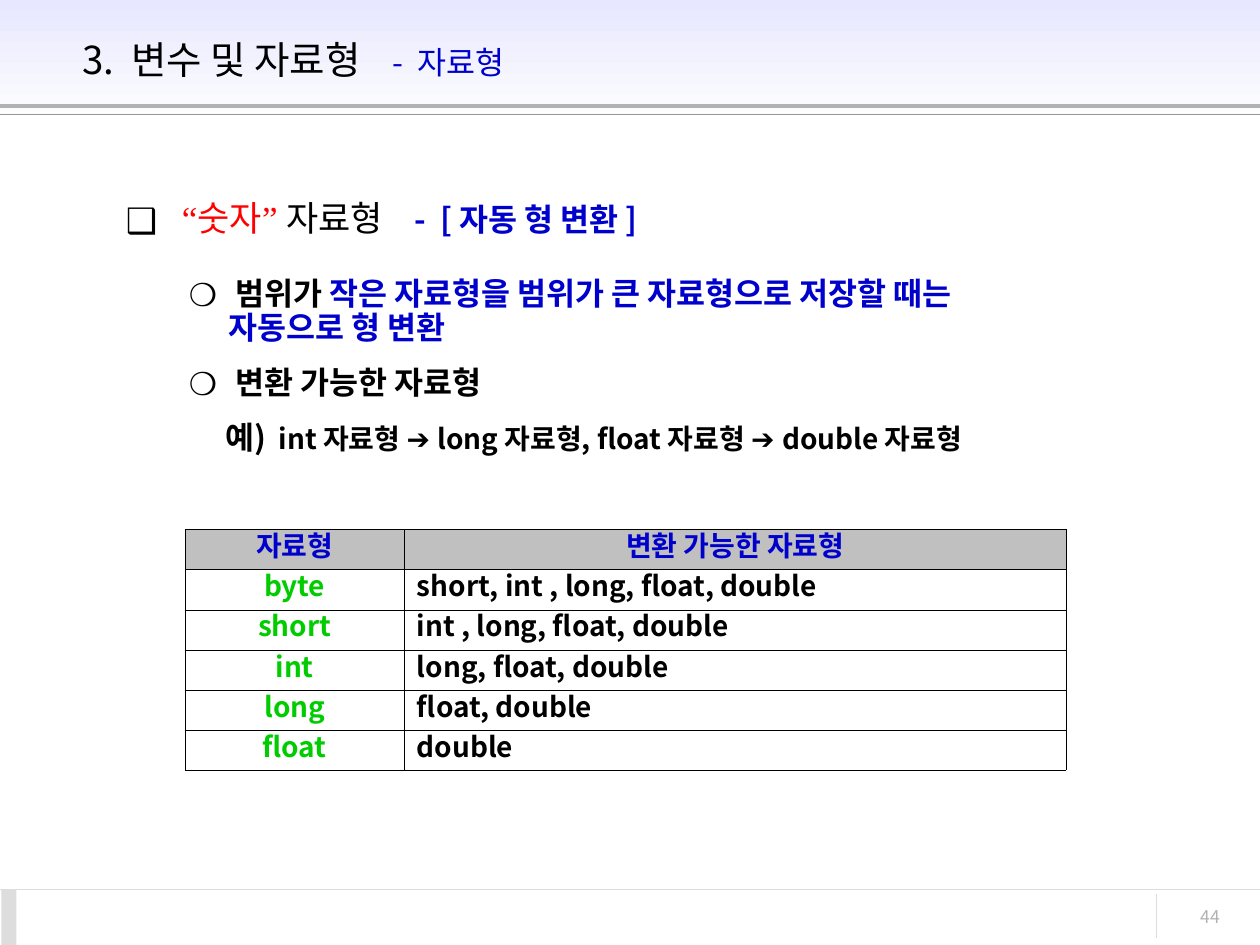
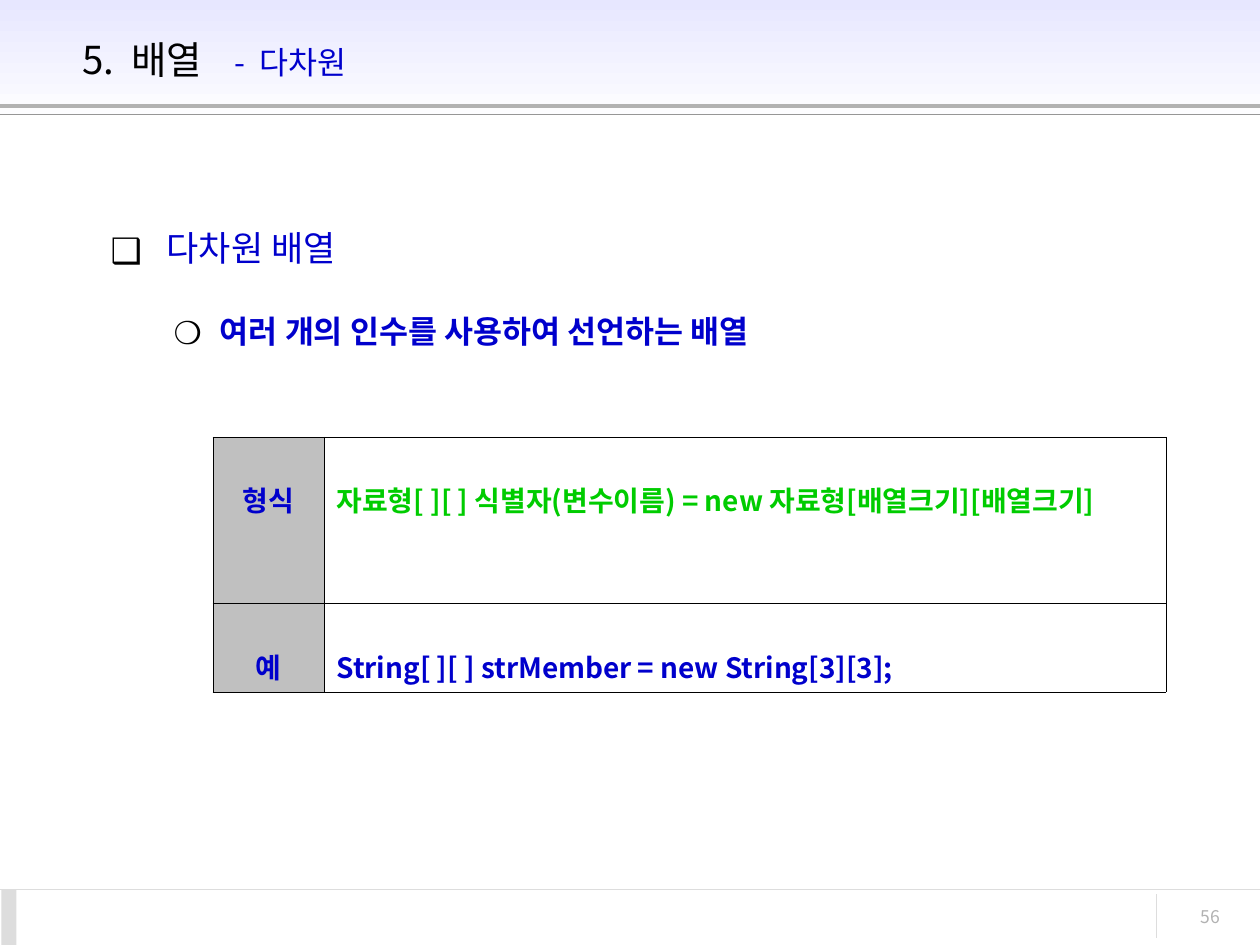
import pptx
import pptx.dml.color
import pptx.enum.shapes
import pptx.enum.text
import pptx.oxml
import pptx.oxml.ns
import pptx.util

Cm, Pt = pptx.util.Cm, pptx.util.Pt
ALIGN = pptx.enum.text.PP_ALIGN
ANCHOR = pptx.enum.text.MSO_ANCHOR
SHAPE = pptx.enum.shapes.MSO_SHAPE

SANS = "Noto Sans CJK KR"
BLACK, BLUE, RED, GREEN = "000000", "0000CC", "FF0000", "00CC00"
SILVER, PALE, ASH = "C0C0C0", "DDDDDD", "B2B2B2"


def style(size, hue=BLACK, bold=False, name=SANS, wide=0):
    """Format of a run; wide is the extra space in points after each letter."""
    return {"size": Pt(size), "bold": bold, "name": name, "hue": hue, "wide": wide}


HEAD, BOLD, CODE = style(20), style(18, bold=True), style(16, bold=True)
BLUE_BOLD = style(18, BLUE, True)
QUOTE = style(20, RED, name="Times New Roman")
ARROW = style(16, bold=True, name="Arial")

# Paragraph kinds: bullet, left margin and indent in cm, paragraph format
TOP = ("❑", 0.97, -0.97)
SUB = ("❍", 2.06, -0.79)
PLAIN = (None, 2, 0)
TIGHT = {"line_spacing": 0.9, "space_before": Pt(4), "space_after": Pt(8)}

SLIDES = [
    {
        "page": "44",
        "title": ("3.", "변수 및 자료형", "자료형"),
        "box": (2.29, 3.94, 19, 6),
        "text": [
            (TOP, {"line_spacing": 0.9, "space_after": Pt(18)}, [
                (" ", HEAD), ("“", QUOTE), ("숫자", style(20, RED)), ("” ", QUOTE),
                ("자료형", HEAD), (" ", style(20, wide=13.4)),
                ("-", BLUE_BOLD), (" ", style(18, BLUE, True, wide=4)),
                ("[ 자동 형 변환 ]", BLUE_BOLD)]),
            (SUB, TIGHT, [
                (" 범위가 ", BOLD),
                ("작은 자료형을 범위가 큰 자료형으로 저장할 때는 자동으로 형 변환", BLUE_BOLD)]),
            (SUB, TIGHT, [(" 변환 가능한 자료형", BOLD)]),
            (PLAIN, TIGHT, [
                ("예)", BOLD), (" ", style(16, bold=True, wide=3.6)),
                ("int 자료형 ", CODE), ("➔ ", ARROW),
                ("long 자료형, float 자료형 ", CODE), ("➔ ", ARROW),
                ("double 자료형", CODE)]),
        ],
        "table": {
            "at": (3.73, 10.67), "cols": (4.42, 13.34), "rows": [0.81] * 6,
            "space": 0.6, "anchor": ANCHOR.MIDDLE,
            "cells": [
                ("자료형", "변환 가능한 자료형"),
                ("byte", "short, int , long, float, double"),
                ("short", "int , long, float, double"),
                ("int", "long, float, double"),
                ("long", "float, double"),
                ("float", "double"),
            ],
            "hues": [(BLUE, BLUE)] + [(GREEN, BLACK)] * 5,
            "head": lambda row, col: row == 0,
        },
    },
    {
        "page": "56",
        "title": ("5.", "배열", "다차원"),
        "box": (1.98, 4.45, 22.02, 12.57),
        "text": [
            (TOP, {"space_after": Pt(20)}, [(" 다차원 배열", style(20, BLUE))]),
            (SUB, {"space_before": Pt(4.5)}, [
                (" ", BOLD), ("여러 개의 인수를 사용하여 선언하는 배열", BLUE_BOLD)]),
        ],
        "table": {
            "at": (4.29, 8.81), "cols": (2.24, 16.97), "rows": [3.35, 1.79],
            "space": 1.9, "anchor": ANCHOR.TOP,
            "cells": [
                ("형식", "자료형[ ][ ] 식별자(변수이름) = new 자료형[배열크기][배열크기]"),
                ("예", "String[ ][ ] strMember = new String[3][3];"),
            ],
            "hues": [(BLUE, GREEN), (BLUE, BLUE)],
            "head": lambda row, col: col == 0,
        },
    },
]

# x1, y1, x2, y2, colour, width
RULES = [
    (0, 2.13, 25.4, 2.13, ASH, 2.25),
    (0, 2.31, 25.4, 2.31, "969696", 0.75),
    (0, 17.93, 25.4, 17.93, PALE, 0.75),
    (23.32, 18.03, 23.32, 18.9, PALE, 0.75),
]


def rgb(text):
    return pptx.dml.color.RGBColor.from_string(text)


def put(thing, values):
    for key, val in values.items():
        setattr(thing, key, val)


def node(tag, parent=None, **attrs):
    made = pptx.oxml.parse_xml(f"<a:{tag} {pptx.oxml.ns.nsdecls('a')}/>")
    for key, val in attrs.items():
        made.set(key, str(val))
    if parent is not None:
        parent.append(made)
    return made


def add_run(para, text, look):
    run = para.add_run()
    run.text = text
    put(run.font, {key: look[key] for key in ("size", "bold", "name")})
    run.font.color.rgb = rgb(look["hue"])
    props = run.font._element
    latin = props.find(pptx.oxml.ns.qn("a:latin"))
    latin.addnext(node("ea", typeface=look["name"]))
    if look["wide"]:
        props.set("spc", str(round(look["wide"] * 100)))


def set_bullet(para, mark, left, indent):
    props = para._p.get_or_add_pPr()
    props.set("marL", str(Cm(left)))
    props.set("indent", str(Cm(indent)))
    if mark:
        node("srgbClr", node("buClr", props), val=BLACK)
        node("buFont", props, typeface=SANS)
        node("buChar", props, char=mark)
    else:
        node("buNone", props)


def add_box(slide, place):
    frame = slide.shapes.add_textbox(*map(Cm, place)).text_frame
    frame.word_wrap = True
    return frame


def add_block(slide, place):
    block = slide.shapes.add_shape(SHAPE.RECTANGLE, *map(Cm, place))
    block.shadow.inherit = False
    block.line.fill.background()
    return block


def add_frame(slide, page):
    """Draw the top band, the rules and the footer."""
    fill = add_block(slide, (0, 0, 25.4, 2.54)).fill
    fill.gradient()
    fill.gradient_angle = 270
    for stop, spot, hue in zip(fill.gradient_stops, (0, 1), ("E7E7FF", "FFFFFF")):
        stop.position = spot
        stop.color.rgb = rgb(hue)
    for *ends, hue, width in RULES:
        rule = slide.shapes.add_connector(
            pptx.enum.shapes.MSO_CONNECTOR.STRAIGHT, *map(Cm, ends))
        rule.line.color.rgb = rgb(hue)
        rule.line.width = Pt(width)
        node("effectLst", rule._element.spPr)
    fill = add_block(slide, (0.03, 17.93, 0.3, 1.12)).fill
    fill.solid()
    fill.fore_color.rgb = rgb(PALE)
    para = add_box(slide, (22.5, 18.14, 2.34, 0.84)).paragraphs[0]
    para.alignment = ALIGN.RIGHT
    add_run(para, page, style(10, ASH))


def set_title(slide, number, topic, part):
    title = slide.shapes.title
    title._element.getparent().append(title._element)
    put(title, dict(zip(("left", "top", "width", "height"),
                        map(Cm, (1.4, 0.33, 21.92, 1.73)))))
    put(title.text_frame, {"word_wrap": True, "vertical_anchor": ANCHOR.MIDDLE,
                           "auto_size": pptx.enum.text.MSO_AUTO_SIZE.NONE})
    para = title.text_frame.paragraphs[0]
    para.alignment = ALIGN.LEFT
    for text, look in [
            (number, style(22)), (" ", style(22, wide=5)),
            (topic, style(22)), (" ", style(22, wide=13.5)),
            ("-", style(18, BLUE)), (" ", style(18, BLUE, wide=4)),
            (part, style(18, BLUE))]:
        add_run(para, text, look)


def add_text(slide, place, paras):
    frame = add_box(slide, place)
    for i, (kind, form, runs) in enumerate(paras):
        para = frame.add_paragraph() if i else frame.paragraphs[0]
        set_bullet(para, *kind)
        put(para, form)
        for text, look in runs:
            add_run(para, text, look)


def set_cell(cell, text, hue, head, centred, data):
    props = cell._tc.get_or_add_tcPr()
    for side in ("lnL", "lnR", "lnT", "lnB"):
        edge = node(side, props, w=Pt(0.11))
        node("srgbClr", node("solidFill", edge), val=BLACK)
    if head:
        cell.fill.solid()
        cell.fill.fore_color.rgb = rgb(SILVER)
    else:
        cell.fill.background()
    cell.vertical_anchor = data["anchor"]
    para = cell.text_frame.paragraphs[0]
    put(para, {"alignment": ALIGN.CENTER if centred else ALIGN.JUSTIFY,
               "line_spacing": data["space"]})
    add_run(para, text, style(16, hue, True))


def add_grid(slide, data):
    cols, rows = data["cols"], data["rows"]
    size = (*data["at"], sum(cols), sum(rows))
    grid = slide.shapes.add_table(len(rows), len(cols), *map(Cm, size)).table
    put(grid, {"first_row": False, "horz_banding": False})
    for col, width in zip(grid.columns, cols):
        col.width = Cm(width)
    for row, height in zip(grid.rows, rows):
        row.height = Cm(height)
    for r, (texts, hues) in enumerate(zip(data["cells"], data["hues"])):
        for c, (text, hue) in enumerate(zip(texts, hues)):
            head = data["head"](r, c)
            set_cell(grid.cell(r, c), text, hue, head, head or c == 0, data)


def main():
    deck = pptx.Presentation()
    put(deck, {"slide_width": Cm(25.4), "slide_height": Cm(19.05)})
    for data in SLIDES:
        slide = deck.slides.add_slide(deck.slide_layouts[5])
        add_frame(slide, data["page"])
        set_title(slide, *data["title"])
        add_text(slide, data["box"], data["text"])
        add_grid(slide, data["table"])
    deck.save("out.pptx")


if __name__ == "__main__":
    main()
